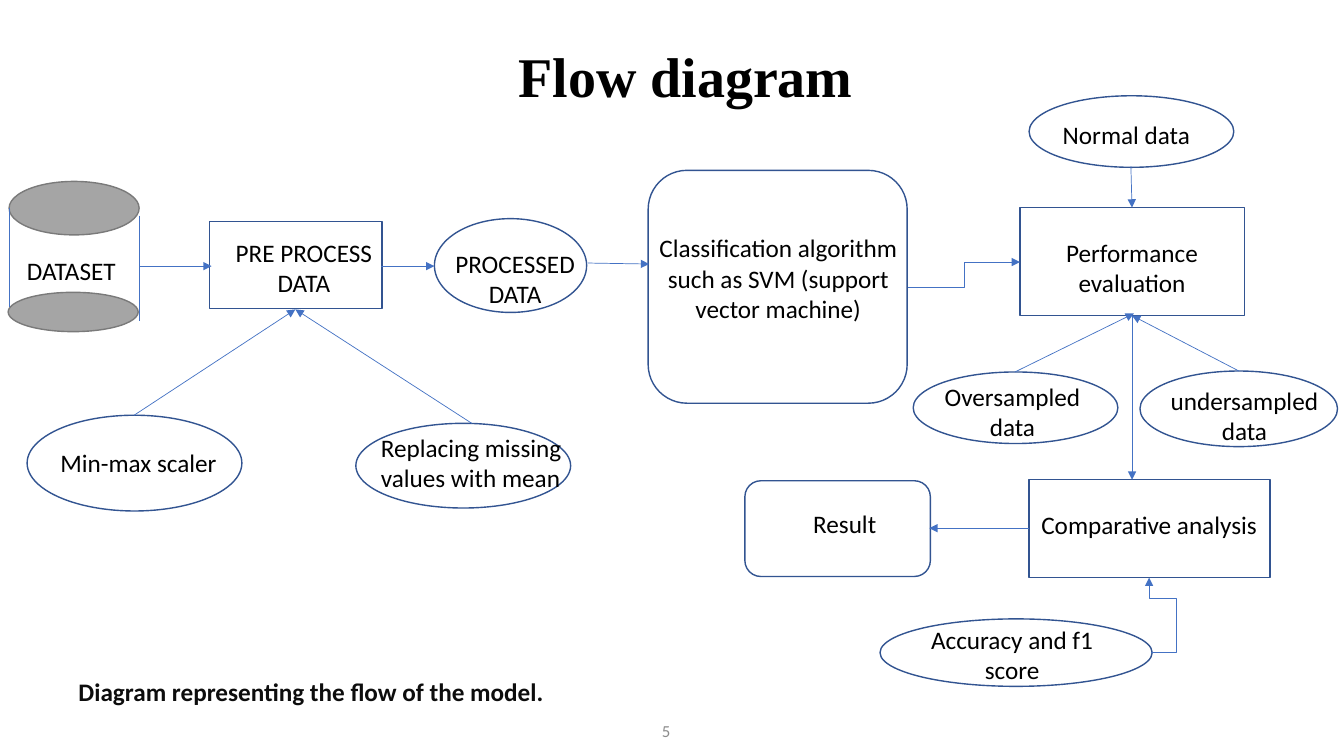
from dataclasses import dataclass

from lxml import etree
from pptx import Presentation
from pptx.dml.color import RGBColor
from pptx.enum.shapes import MSO_CONNECTOR, MSO_SHAPE
from pptx.enum.text import MSO_ANCHOR, MSO_AUTO_SIZE, PP_ALIGN
from pptx.oxml.ns import qn
from pptx.util import Pt

STRAIGHT, ELBOW = MSO_CONNECTOR.STRAIGHT, MSO_CONNECTOR.ELBOW
OVAL, RECTANGLE = MSO_SHAPE.OVAL, MSO_SHAPE.RECTANGLE
ROUNDED = MSO_SHAPE.ROUNDED_RECTANGLE
ALTERNATE = MSO_SHAPE.FLOWCHART_ALTERNATE_PROCESS
LEFT, CENTER, RIGHT = PP_ALIGN.LEFT, PP_ALIGN.CENTER, PP_ALIGN.RIGHT
TOP, MIDDLE = MSO_ANCHOR.TOP, MSO_ANCHOR.MIDDLE
FIXED_SIZE = MSO_AUTO_SIZE.NONE
TITLE_ONLY = 5


@dataclass(frozen=True)
class Theme:
    """Colours, fonts and sizes of the slide."""
    text: RGBColor = RGBColor(0, 0, 0)
    caption: RGBColor = RGBColor.from_string("0D0D0D")
    number: RGBColor = RGBColor.from_string("8C8C8C")
    outline: RGBColor = RGBColor.from_string("325491")
    arrow: RGBColor = RGBColor.from_string("4472C4")
    disk: RGBColor = RGBColor.from_string("A5A5A5")
    disk_outline: RGBColor = RGBColor.from_string("7A7A7A")
    title_font: str = "Times New Roman"
    body_font: str = "Calibri"
    title_size: int = 40
    body_size: int = 18
    number_size: int = 12
    outline_width: float = 1
    arrow_width: float = 0.5


class FlowSlide:
    """Draws the elements of a flow diagram on one slide."""

    def __init__(self, slide, theme):
        """Keep the slide and its style."""
        self.slide, self.theme = slide, theme

    def set_text(self, shape, text, font, size, color, bold, align, anchor):
        """Fill a shape with uniformly formatted text."""
        frame = shape.text_frame
        frame.word_wrap = True
        frame.auto_size = FIXED_SIZE
        frame.vertical_anchor = anchor
        frame.text = text
        for paragraph in frame.paragraphs:
            paragraph.alignment = align
            paragraph.font.name = font
            paragraph.font.size = Pt(size)
            paragraph.font.bold = bold
            paragraph.font.color.rgb = color

    def title(self, text, left, top, width, height):
        """Place and format the title placeholder."""
        shape = self.slide.shapes.title
        shape.left, shape.top = Pt(left), Pt(top)
        shape.width, shape.height = Pt(width), Pt(height)
        self.set_text(shape, text, self.theme.title_font, self.theme.title_size,
                      self.theme.text, True, CENTER, TOP)

    def label(self, text, left, top, width, height, align=CENTER, size=None,
              color=None, bold=False, anchor=TOP):
        """Add a text box."""
        box = self.slide.shapes.add_textbox(Pt(left), Pt(top), Pt(width), Pt(height))
        self.set_text(box, text, self.theme.body_font, size or self.theme.body_size,
                      color or self.theme.text, bold, align, anchor)

    def node(self, kind, left, top, width, height, fill=None, outline=None):
        """Add an outlined shape, hollow unless a fill is given."""
        shape = self.slide.shapes.add_shape(kind, Pt(left), Pt(top), Pt(width), Pt(height))
        shape.shadow.inherit = False
        if fill is None:
            shape.fill.background()
        else:
            shape.fill.solid()
            shape.fill.fore_color.rgb = fill
        shape.line.color.rgb = outline or self.theme.outline
        shape.line.width = Pt(self.theme.outline_width)

    def link(self, start, end, kind=STRAIGHT, arrow=True):
        """Add a connector from start to end and return it."""
        connector = self.slide.shapes.add_connector(kind, *map(Pt, start + end))
        connector.line.color.rgb = self.theme.arrow
        connector.line.width = Pt(self.theme.arrow_width)
        properties = connector._element.spPr
        if arrow:
            etree.SubElement(properties.find(qn("a:ln")), qn("a:tailEnd"), type="triangle")
        etree.SubElement(properties, qn("a:effectLst"))
        return connector

    def double_bend(self, start, corner, end):
        """Add an elbow arrow that passes through a corner point."""
        connector = self.link(start, end, ELBOW)
        geometry = connector._element.spPr.find(qn("a:prstGeom"))
        geometry.set("prst", "bentConnector4")
        guides = geometry.get_or_add_avLst()
        for index, (first, bend, last) in enumerate(zip(start, corner, end), 1):
            ratio = round((bend - first) / (last - first) * 100000)
            etree.SubElement(guides, qn("a:gd"), name=f"adj{index}", fmla=f"val {ratio}")


NODES = [
    (OVAL, 254.2, 302.4, 153.4, 60.5),        # missing values
    (OVAL, 19.4, 296.6, 153.4, 68.4),         # scaler
    (RECTANGLE, 149.8, 158.4, 123.1, 61.9),   # pre process
    (OVAL, 310.3, 156.2, 108.7, 67),          # processed data
    (ALTERNATE, 463, 121.7, 185, 166.3),      # classification
    (RECTANGLE, 728.6, 148.3, 160.6, 77),     # performance
    (RECTANGLE, 735.1, 342.7, 172.1, 69.8),   # comparison
    (ROUNDED, 532.1, 343.4, 132.5, 68.4),     # result
    (OVAL, 652.3, 265.7, 146.2, 51.1),        # oversampled
    (OVAL, 814.3, 265, 141.1, 54),            # undersampled
    (OVAL, 735.1, 68.4, 146.2, 51.1),         # normal data
    (OVAL, 628.6, 442.1, 194.4, 48.2),        # accuracy
]
DISKS = [(6.5, 129.6, 92.9, 38.2), (5.8, 208.8, 92.9, 28.1)]
CYLINDER_SIDES = [((6.5, 148.3), (6.5, 219.6)), ((99.4, 154.1), (99.4, 229))]
ARROWS = [
    ((99.4, 190.1), (151.2, 190.1)),
    ((272.2, 190.1), (310.3, 190.1)),
    ((419.8, 187.9), (463.7, 188.6)),
    ((95.8, 296.6), (211, 221)),
    ((337, 302.4), (211, 221)),
    ((807.8, 118.8), (808.6, 148.3)),
    ((725, 265.7), (810, 223.9)),
    ((884.9, 265), (808.6, 225.4)),
    ((808.6, 225.4), (808.6, 342.7)),
    ((735.1, 377.3), (663.8, 377.3)),
]
LABELS = [
    ("DATASET", 12.2, 178.6, 91.4, 28.8, LEFT),
    ("PRE PROCESS DATA", 145.4, 165.6, 143.3, 51.1),
    ("PROCESSED\nDATA", 316.8, 173.5, 102.2, 51.1),
    ("Classification algorithm such as SVM (support vector machine)",
     463, 162.7, 185.8, 72.7),
    ("Min-max scaler", 36, 316.1, 175, 28.8, LEFT),
    ("Replacing missing values with mean", 265, 305.3, 175, 51.1, LEFT),
    ("Normal data", 752, 81.4, 156.5, 28.8, LEFT),
    ("Performance evaluation", 715.7, 165.6, 185.8, 51.1),
    ("Oversampled data", 663.1, 268.6, 120.2, 51.1),
    ("undersampled\ndata", 805, 271.4, 167.8, 51.1),
    ("Comparative analysis", 723.6, 360, 194.4, 28.8),
    ("Result", 573.8, 359.3, 165.6, 28.8, LEFT),
    ("Accuracy and f1 score", 644.4, 442.1, 157, 51.1),
]


def main():
    """Build and save the slide."""
    presentation = Presentation()
    presentation.slide_width, presentation.slide_height = Pt(960), Pt(540)
    slide = presentation.slides.add_slide(presentation.slide_layouts[TITLE_ONLY])
    theme = Theme()
    flow = FlowSlide(slide, theme)

    flow.title("Flow diagram", 216, 25.9, 547.2, 55.4)
    for node in NODES:
        flow.node(*node)
    for disk in DISKS:
        flow.node(OVAL, *disk, fill=theme.disk, outline=theme.disk_outline)
    for start, end in CYLINDER_SIDES:
        flow.link(start, end, arrow=False)
    for start, end in ARROWS:
        flow.link(start, end)
    flow.link((648.7, 205.2), (728.6, 187.2), ELBOW)
    flow.double_bend((822.2, 465.8), (840.2, 427.7), (820.8, 412.6))
    for label in LABELS:
        flow.label(*label)
    flow.label("Diagram representing the flow of the model.", 49, 479.5, 532.8, 28.8,
               LEFT, color=theme.caption, bold=True)
    flow.label("5", 270, 507.6, 216, 28.8, RIGHT, theme.number_size, theme.number,
               anchor=MIDDLE)

    presentation.save("out.pptx")


main()
